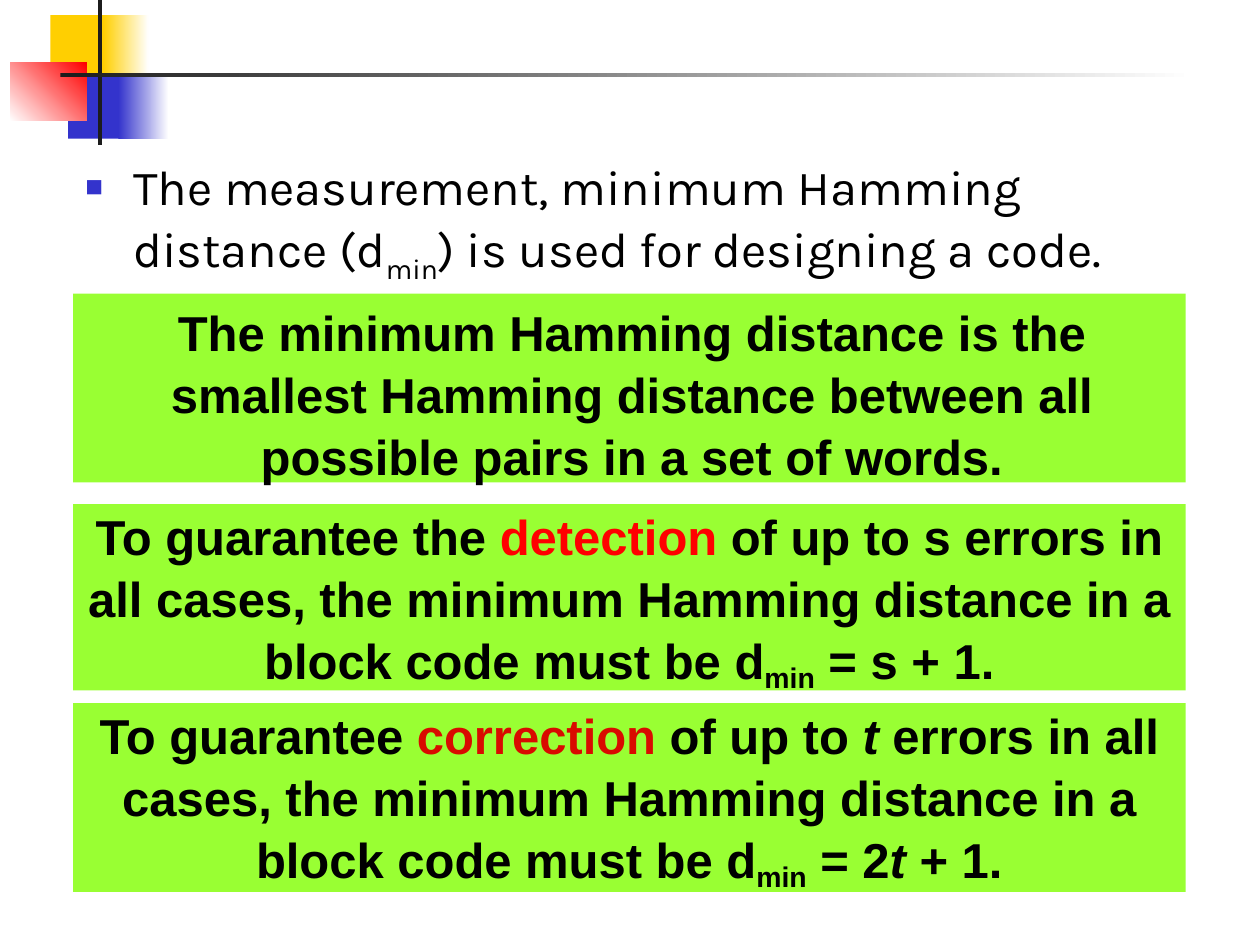
import pptx
import pptx.util
import pptx.dml.color
import pptx.enum.shapes
import pptx.enum.text
import lxml.etree
from dataclasses import dataclass
from pptx.oxml.ns import qn

COLS, ROWS = 100, 75
CELL = pptx.util.Inches(0.1)


@dataclass(frozen=True)
class Theme:
    yellow: str = "FFCF01"
    blue: str = "3333CC"
    red: str = "FF0000"
    dark_red: str = "D90B00"
    green: str = "99FF33"
    dark: str = "1C1C1C"
    white: str = "FFFFFF"
    text: str = "000000"
    body_font: str = "Karla"
    box_font: str = "Arial"
    size: int = 28
    spacing: float = 1.05


THEME = Theme()
BODY = {"name": THEME.body_font, "size": pptx.util.Pt(THEME.size)}
BOX = {"name": THEME.box_font, "size": pptx.util.Pt(THEME.size), "bold": True}
BODY_SUB = {"baseline": -25}
BOX_SUB = {"baseline": -18}
ITALIC = {"italic": True}


def rgb(value):
    return pptx.dml.color.RGBColor.from_string(value)


def cells(*lengths):
    return [round(n * CELL) for n in lengths]


def add_rect(s, at, color, end=None, angle=0):
    """Add a rectangle, solid or fading from color to end at a counter-clockwise angle."""
    sp = s.shapes.add_shape(pptx.enum.shapes.MSO_SHAPE.RECTANGLE, *cells(*at))
    sp.shadow.inherit = False
    sp.line.fill.background()
    if end is None:
        sp.fill.solid()
        sp.fill.fore_color.rgb = rgb(color)
    else:
        sp.fill.gradient()
        sp.fill.gradient_angle = angle
        for stop, value in zip(sp.fill.gradient_stops, (color, end)):
            stop.color.rgb = rgb(value)
    return sp


def set_frame(tf, insets):
    tf.word_wrap = True
    tf.vertical_anchor = pptx.enum.text.MSO_ANCHOR.TOP
    sides = ("margin_left", "margin_top", "margin_right", "margin_bottom")
    for side, inset in zip(sides, cells(*insets)):
        setattr(tf, side, inset)


def add_runs(p, parts, base):
    """Add runs; each part is (text, changes to the base format)."""
    p.line_spacing = THEME.spacing
    for text, changes in parts:
        r = p.add_run()
        r.text = text
        formats = {**base, "color": THEME.text, **changes}
        r.font.color.rgb = rgb(formats.pop("color"))
        baseline = formats.pop("baseline", None)
        if baseline is not None:
            r._r.get_or_add_rPr().set("baseline", str(baseline * 1000))
        for name, value in formats.items():
            setattr(r.font, name, value)


def add_bullet(p, char, color, percent, indent):
    pPr = p._p.get_or_add_pPr()
    pPr.set("marL", str(indent))
    pPr.set("indent", str(-indent))
    clr = lxml.etree.SubElement(pPr, qn("a:buClr"))
    lxml.etree.SubElement(clr, qn("a:srgbClr"), val=color)
    lxml.etree.SubElement(pPr, qn("a:buSzPct"), val=str(percent * 1000))
    lxml.etree.SubElement(pPr, qn("a:buFont"), typeface=THEME.box_font)
    lxml.etree.SubElement(pPr, qn("a:buChar"), char=char)


def add_body(s, at, parts):
    tf = s.shapes.add_textbox(*cells(*at)).text_frame
    set_frame(tf, (1, 0.5, 1, 0.5))
    p = tf.paragraphs[0]
    add_bullet(p, "■", THEME.blue, 60, cells(3.8)[0])
    add_runs(p, parts, BODY)


def add_box(s, row, rows, parts, insets=(0, 0, 0.4, 0)):
    tf = add_rect(s, (5.8, row, 88.3, rows), THEME.green).text_frame
    set_frame(tf, insets)
    p = tf.paragraphs[0]
    p.alignment = pptx.enum.text.PP_ALIGN.CENTER
    p._p.get_or_add_pPr().set("marL", str(cells(0.4)[0]))
    add_runs(p, parts, BOX)


def add_ornament(s):
    t = THEME
    add_rect(s, (4, 1.2, 4.8, 5.2), t.yellow)
    add_rect(s, (8.2, 1.2, 3.6, 5.2), t.yellow, t.white)
    add_rect(s, (5.4, 5.8, 4.6, 5.2), t.blue)
    add_rect(s, (9.4, 5.8, 4, 5.2), t.blue, t.white)
    add_rect(s, (0.8, 5, 6.1, 4.6), t.white, t.red, angle=45)
    add_rect(s, (7.8, 0, 0.3, 11.5), t.dark)
    add_rect(s, (4.8, 5.8, 90, 0.3), t.dark, t.white)


def main():
    prs = pptx.Presentation()
    prs.slide_width, prs.slide_height = cells(COLS, ROWS)
    s = prs.slides.add_slide(prs.slide_layouts[6])
    add_ornament(s)
    add_box(s, 23.3, 15, [
        ("The minimum Hamming distance is the smallest Hamming distance "
         "between all possible pairs in a set of words.", {}),
    ], insets=(1, 0.5, 1, 0.5))
    add_body(s, (5.8, 11.7, 90, 12.5), [
        ("The measurement, minimum Hamming distance (d", {}),
        ("min", BODY_SUB),
        (") is used for designing a code.", {}),
    ])
    add_box(s, 40, 14.8, [
        ("To guarantee the ", {}),
        ("detection", {"color": THEME.red}),
        (" of up to s errors in all cases, the minimum Hamming distance "
         "in a block code must be d", {}),
        ("min", BOX_SUB),
        (" = s + 1.", {}),
    ])
    add_box(s, 55.8, 15, [
        ("To guarantee ", {}),
        ("correction", {"color": THEME.dark_red}),
        (" of up to ", {}),
        ("t", ITALIC),
        (" errors in all cases, the minimum Hamming distance "
         "in a block code must be d", {}),
        ("min", BOX_SUB),
        (" = 2", {}),
        ("t", ITALIC),
        (" + 1.", {}),
    ])
    prs.save("out.pptx")


if __name__ == "__main__":
    main()
